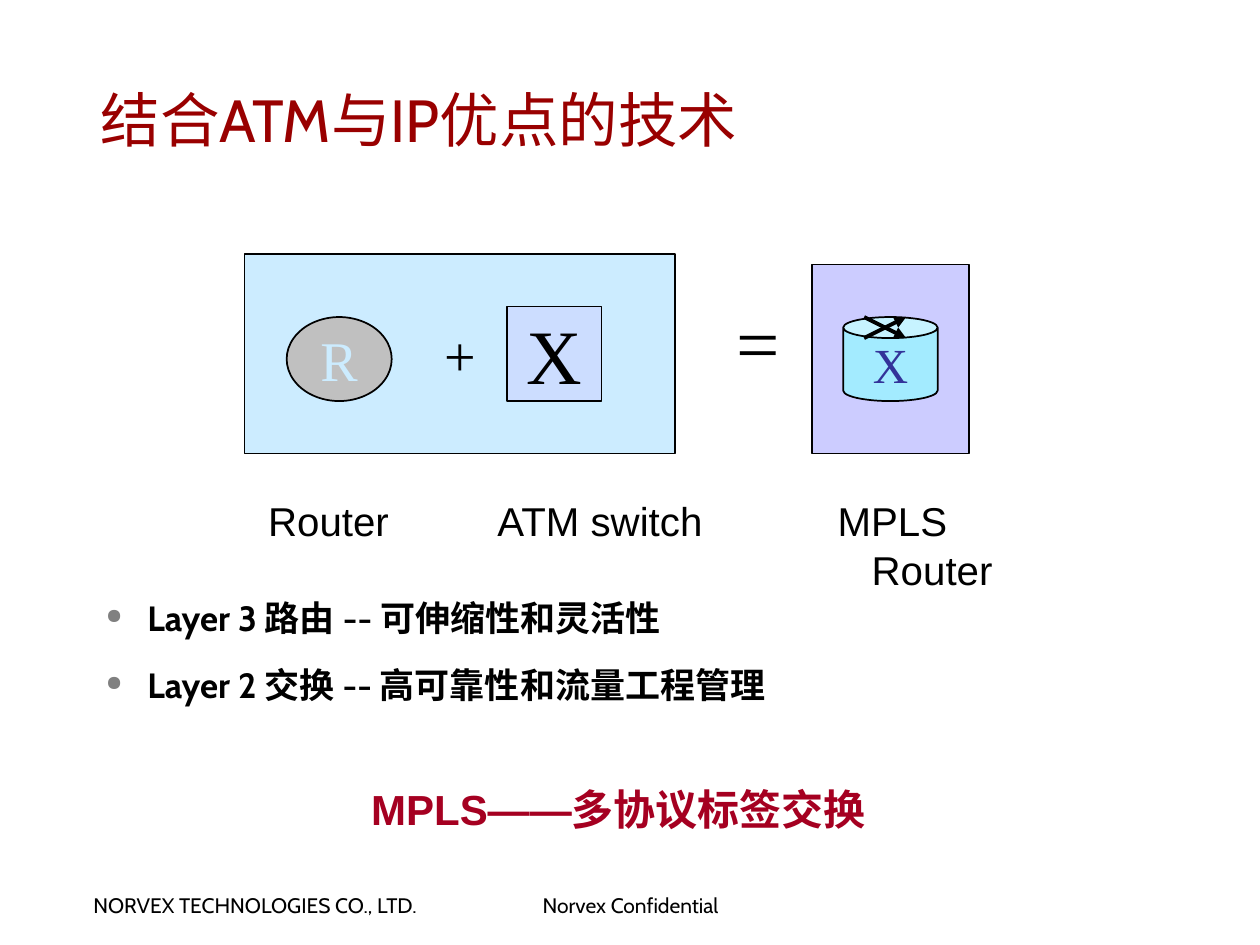
from lxml.etree import SubElement
from pptx import Presentation
from pptx.dml.color import RGBColor
from pptx.enum.shapes import MSO_CONNECTOR, MSO_SHAPE
from pptx.enum.text import MSO_ANCHOR, MSO_AUTO_SIZE, PP_ALIGN
from pptx.oxml.ns import qn
from pptx.util import Inches, Pt

COLORS = {
    "black": "000000", "title": "990000", "slogan": "A50021", "bullet": "808080",
    "sky": "CCECFF", "lilac": "CCCCFF", "grey": "C0C0C0", "aqua": "A3EBFF",
    "indigo": "333399",
}
COLS, ROWS = 120, 90  # the slide grid, twelve cells to the inch
CELL = Inches(1) / 12
SERIF, SANS, CABIN = "Times New Roman", "Arial", "Cabin"


def rgb(name):
    return RGBColor.from_string(COLORS[name])


def emu(*cells):
    return [round(c * CELL) for c in cells]


def within(box, col, row, width, height):
    """Grid box whose corner is counted from the corner of another box."""
    return box[0] + col, box[1] + row, width, height


def write(tf, lines, size, font, color="black", bold=False,
          align=PP_ALIGN.LEFT, inset=None, **frame):
    """Fill a text frame; extra keywords are set on the frame itself."""
    if inset:
        x, y = (Inches(v) for v in inset)
        frame.update(margin_left=x, margin_right=x, margin_top=y, margin_bottom=y)
    for name, value in frame.items():
        setattr(tf, name, value)
    for i, line in enumerate(lines):
        p = tf.paragraphs[0] if i == 0 else tf.add_paragraph()
        p.alignment = align
        r = p.add_run()
        r.text = line
        for name, value in {"size": Pt(size), "name": font, "bold": bold}.items():
            setattr(r.font, name, value)
        r.font.color.rgb = rgb(color)


def add_text(s, box, lines, size, font, **fmt):
    tf = s.shapes.add_textbox(*emu(*box)).text_frame
    write(tf, lines, size, font, **{"word_wrap": False, **fmt})
    return tf


def add_node(s, kind, box, fill, text=None, size=32, color="black", opacity=None):
    sp = s.shapes.add_shape(kind, *emu(*box))
    sp.shadow.inherit = False
    sp.fill.solid()
    sp.fill.fore_color.rgb = rgb(fill)
    if opacity:
        clr = sp.fill._xPr.find(".//" + qn("a:srgbClr"))
        SubElement(clr, qn("a:alpha"), val=str(opacity * 1000))
    sp.line.color.rgb = rgb("black")
    sp.line.width = Pt(1)
    if text:
        write(sp.text_frame, [text], size, SERIF, color, align=PP_ALIGN.CENTER,
              vertical_anchor=MSO_ANCHOR.MIDDLE, word_wrap=False)


def add_arrow(s, *ends):
    line = s.shapes.add_connector(MSO_CONNECTOR.STRAIGHT, *emu(*ends))
    line.line.color.rgb = rgb("black")
    line.line.width = Pt(2.25)
    SubElement(line.line._get_or_add_ln(), qn("a:tailEnd"), type="triangle")
    SubElement(line._element.spPr, qn("a:effectLst"))


def add_title(s, box):
    title = s.shapes.title
    title.left, title.top, title.width, title.height = emu(*box)
    write(title.text_frame, ["结合ATM与IP优点的技术"], 34, CABIN, "title",
          inset=(0.09, 0.04), vertical_anchor=MSO_ANCHOR.MIDDLE,
          auto_size=MSO_AUTO_SIZE.NONE)


def add_diagram(s, box):
    """Router plus switch in one panel equals the MPLS router in another."""
    add_node(s, MSO_SHAPE.RECTANGLE, within(box, 0, 0, 41, 19), "sky", "+")
    add_node(s, MSO_SHAPE.RECTANGLE, within(box, 25, 5, 9, 9), "lilac", "X", 44,
             opacity=45)
    add_node(s, MSO_SHAPE.OVAL, within(box, 4, 6, 10, 8), "grey", "R", color="sky")
    add_node(s, MSO_SHAPE.RECTANGLE, within(box, 54, 1, 15, 18), "lilac")
    add_text(s, within(box, 45.7, 3.3, 6.6, 10), ["="], 44, SERIF)
    add_node(s, MSO_SHAPE.CAN, within(box, 57, 6, 9, 8), "aqua", "X", 28, "indigo")
    left, top, right, bottom = box[0] + 59, box[1] + 6, box[0] + 63, box[1] + 8
    add_arrow(s, left, bottom, right, top)
    add_arrow(s, left, top, right, bottom)


def add_labels(s, box):
    tf = add_text(s, box, ["\tRouter\tATM switch\tMPLS", "\tRouter"], 23, SANS,
                  word_wrap=True)
    for p, stops in zip(tf.paragraphs, [(0.18, 2, 4.7), (4.97,)]):
        tabs = SubElement(p._p.get_or_add_pPr(), qn("a:tabLst"))
        for stop in stops:
            SubElement(tabs, qn("a:tab"), pos=str(Inches(stop)), algn="l")


def add_bullets(s, box):
    tf = add_text(s, box, ["Layer 3 路由 -- 可伸缩性和灵活性",
                           "Layer 2 交换 -- 高可靠性和流量工程管理"],
                  20, CABIN, bold=True, inset=(0.09, 0.04), word_wrap=True)
    for p in tf.paragraphs:
        p.line_spacing = 1.4
        p.space_before = Pt(5)
        pPr = p._p.get_or_add_pPr()
        pPr.set("marL", str(Inches(0.33)))
        pPr.set("indent", str(-Inches(0.33)))
        clr = SubElement(pPr, qn("a:buClr"))
        SubElement(clr, qn("a:srgbClr"), val=COLORS["bullet"])
        SubElement(pPr, qn("a:buSzPct"), val="60000")
        SubElement(pPr, qn("a:buChar"), char="●")


def add_slogan(s, box):
    add_text(s, box, ["MPLS——多协议标签交换"], 24, SANS, color="slogan", bold=True,
             align=PP_ALIGN.CENTER, inset=(0.11, 0.06),
             vertical_anchor=MSO_ANCHOR.MIDDLE)


def add_footer(s, box):
    for col, width, text in [(0, 35.9, "NORVEX TECHNOLOGIES CO., LTD."),
                             (42.8, 22.2, "Norvex Confidential")]:
        add_text(s, within(box, col, 0, width, box[3]), [text], 12, CABIN,
                 inset=(0.09, 0.04))


def main():
    prs = Presentation()
    prs.slide_width, prs.slide_height = emu(COLS, ROWS)
    s = prs.slides.add_slide(prs.slide_layouts[5])
    add_footer(s, (7.8, 84.5, 65, 3.5))
    add_title(s, (8.5, 5.6, 101.6, 11.4))
    add_bullets(s, (9, 54.7, 104, 14.8))
    add_diagram(s, (23.3, 24.2, 69, 19))
    add_labels(s, (22.2, 46.7, 88.6, 10.4))
    add_slogan(s, (33.5, 74, 50.8, 6.1))
    prs.save("out.pptx")


if __name__ == "__main__":
    main()
